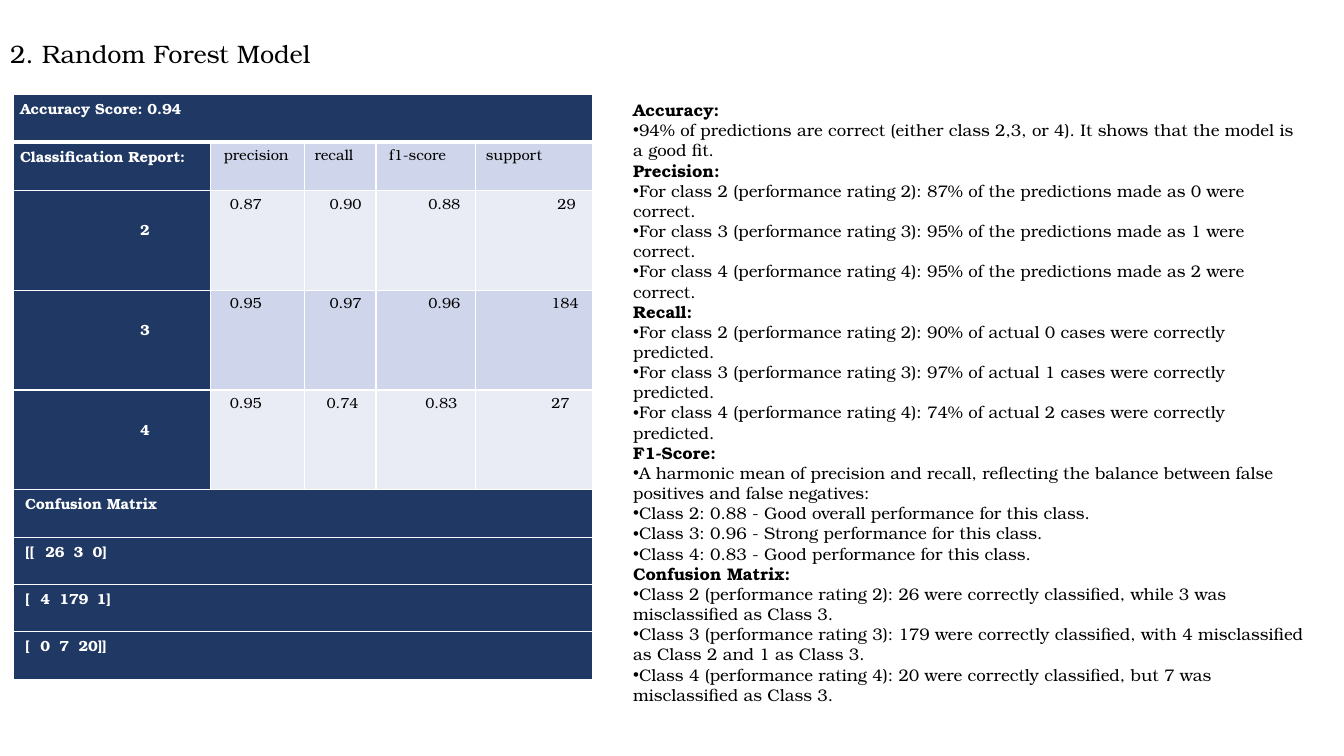
from lxml.etree import SubElement
from pptx import Presentation
from pptx.dml.color import RGBColor
from pptx.enum.text import MSO_ANCHOR, MSO_AUTO_SIZE, PP_ALIGN
from pptx.oxml.ns import qn
from pptx.util import Inches, Pt

FONT = "TeX Gyre Bonum"
NAVY, WHITE, BLACK = "203864", "FFFFFF", "000000"
BANDS = ["CFD5EA", "E9EBF5"]

COLUMN_WIDTHS = [1.96, 0.93, 0.71, 0.99, 1.16]
ROW_HEIGHTS = [0.47, 0.48] + [0.99] * 3 + [0.47] * 4
METRICS = ["precision", "recall", "f1-score", "support"]
METRIC_INDENTS = [0.06, 0.03, 0.06, 0.03]
CLASS_SCORES = [
    ("2", ["0.87", "0.90", "0.88", "29"], [0.12, 0.18, 0.45, 0.74]),
    ("3", ["0.95", "0.97", "0.96", "184"], [0.12, 0.18, 0.45, 0.68]),
    ("4", ["0.95", "0.74", "0.83", "27"], [0.12, 0.15, 0.42, 0.68]),
]
CONFUSION_ROWS = [
    ("Confusion Matrix", []),
    ("[[\t26\t3\t0]", [0.2, 0.48, 0.67]),
    ("[\t4\t179\t1]", [0.15, 0.34, 0.71]),
    ("[\t0\t7\t20]]", [0.15, 0.34, 0.53]),
]
FINDINGS = [
    ("Accuracy:", [
        "94% of predictions are correct (either class 2,3, or 4). It shows that the model is a good fit.",
    ]),
    ("Precision:", [
        "For class 2 (performance rating 2): 87% of the predictions made as 0 were correct.",
        "For class 3 (performance rating 3): 95% of the predictions made as 1 were correct.",
        "For class 4 (performance rating 4): 95% of the predictions made as 2 were correct.",
    ]),
    ("Recall:", [
        "For class 2 (performance rating 2): 90% of actual 0 cases were correctly predicted.",
        "For class 3 (performance rating 3): 97% of actual 1 cases were correctly predicted.",
        "For class 4 (performance rating 4): 74% of actual 2 cases were correctly predicted.",
    ]),
    ("F1-Score:", [
        "A harmonic mean of precision and recall, reflecting the balance between "
        "false positives and false negatives:",
        "Class 2: 0.88 - Good overall performance for this class.",
        "Class 3: 0.96 - Strong performance for this class.",
        "Class 4: 0.83 - Good performance for this class.",
    ]),
    ("Confusion Matrix:", [
        "Class 2 (performance rating 2): 26 were correctly classified, while 3 was misclassified as Class 3.",
        "Class 3 (performance rating 3): 179 were correctly classified, "
        "with 4 misclassified as Class 2 and 1 as Class 3.",
        "Class 4 (performance rating 4): 20 were correctly classified, but 7 was misclassified as Class 3.",
    ]),
]


def rgb(value):
    """Turn a hex string into a colour."""
    return RGBColor.from_string(value)


def add_run(paragraph, text, size, color=BLACK, bold=False):
    """Add one formatted run."""
    run = paragraph.add_run()
    run.text = text
    run.font.name = FONT
    run.font.size = Pt(size)
    run.font.bold = bold
    run.font.color.rgb = rgb(color)


def place(placeholder, left, top, width, height):
    """Move a placeholder into its box and return its text frame."""
    placeholder.left, placeholder.top = Inches(left), Inches(top)
    placeholder.width, placeholder.height = Inches(width), Inches(height)
    frame = placeholder.text_frame
    frame.word_wrap = True
    frame.auto_size = MSO_AUTO_SIZE.NONE
    frame.vertical_anchor = MSO_ANCHOR.TOP
    return frame


def add_borders(cell, bottom):
    """Draw white cell borders with the given bottom width in points."""
    properties = cell._tc.get_or_add_tcPr()
    for side, width in (("lnL", 1), ("lnR", 1), ("lnT", 1), ("lnB", bottom)):
        line = SubElement(properties, qn(f"a:{side}"), w=str(Pt(width)))
        solid = SubElement(line, qn("a:solidFill"))
        SubElement(solid, qn("a:srgbClr"), val=WHITE)


def fill_cell(cell, text, fill, indent=0.0, top=0.0, stops=(), bottom=1):
    """Format one table cell and write its text."""
    add_borders(cell, bottom)
    cell.fill.solid()
    cell.fill.fore_color.rgb = rgb(fill)
    cell.margin_left, cell.margin_right = Inches(0.07 + indent), Inches(0.07)
    cell.margin_top, cell.margin_bottom = Inches(top), 0
    paragraph = cell.text_frame.paragraphs[0]
    paragraph.line_spacing = 1.15
    if stops:
        tabs = SubElement(paragraph._p.get_or_add_pPr(), qn("a:tabLst"))
        for stop in stops:
            SubElement(tabs, qn("a:tab"), pos=str(Inches(stop)), algn="l")
    heading = fill == NAVY
    add_run(paragraph, text, 10.5, WHITE if heading else BLACK, heading)


def fill_banner(table, row, text, **layout):
    """Merge a whole table row into one navy cell."""
    banner = table.cell(row, 0)
    banner.merge(table.cell(row, len(COLUMN_WIDTHS) - 1))
    fill_cell(banner, text, NAVY, **layout)


def add_title(slide, left, top, width, height):
    """Place the slide title."""
    paragraph = place(slide.shapes.title, left, top, width, height).paragraphs[0]
    paragraph.alignment = PP_ALIGN.LEFT
    add_run(paragraph, "2. Random Forest Model", 18)


def add_report(slide, left, top):
    """Add the classification report and confusion matrix."""
    table = slide.shapes.add_table(
        len(ROW_HEIGHTS), len(COLUMN_WIDTHS), Inches(left), Inches(top),
        Inches(sum(COLUMN_WIDTHS)), Inches(sum(ROW_HEIGHTS))).table
    for column, width in zip(table.columns, COLUMN_WIDTHS):
        column.width = Inches(width)
    for row, height in zip(table.rows, ROW_HEIGHTS):
        row.height = Inches(height)

    fill_banner(table, 0, "Accuracy Score: 0.94", bottom=3)
    report = [("Classification Report:", METRICS, METRIC_INDENTS)] + CLASS_SCORES
    for row, (label, values, indents) in enumerate(report, 1):
        label_layout = {} if row == 1 else {"indent": 1.19, "top": 0.25}
        fill_cell(table.cell(row, 0), label, NAVY, **label_layout)
        for column, (value, indent) in enumerate(zip(values, indents), 1):
            fill_cell(table.cell(row, column), value, BANDS[(row - 1) % 2], indent)
    for row, (text, stops) in enumerate(CONFUSION_ROWS, 1 + len(report)):
        fill_banner(table, row, text, indent=0.05, stops=stops)


def add_findings(slide, left, top, width, height):
    """List the findings under bold headings."""
    frame = place(slide.placeholders[1], left, top, width, height)
    lines = [(text, text == heading) for heading, points in FINDINGS
             for text in [heading] + points]
    for index, (text, is_heading) in enumerate(lines):
        paragraph = frame.add_paragraph() if index else frame.paragraphs[0]
        paragraph.space_before = Pt(0)
        properties = paragraph._p.get_or_add_pPr()
        properties.set("marL", "0")
        properties.set("indent", "0")
        if is_heading:
            SubElement(properties, qn("a:buNone"))
        else:
            SubElement(properties, qn("a:buChar"), char="•")
        add_run(paragraph, text, 12, bold=is_heading)


def main():
    """Build and save the slide."""
    presentation = Presentation()
    presentation.slide_width, presentation.slide_height = Inches(13.33), Inches(7.5)
    slide = presentation.slides.add_slide(presentation.slide_layouts[1])
    add_title(slide, 0, 0.33, 6.89, 0.4)
    add_report(slide, 0.13, 0.94)
    add_findings(slide, 6.18, 0.94, 6.89, 6.16)
    presentation.save("out.pptx")


if __name__ == "__main__":
    main()
